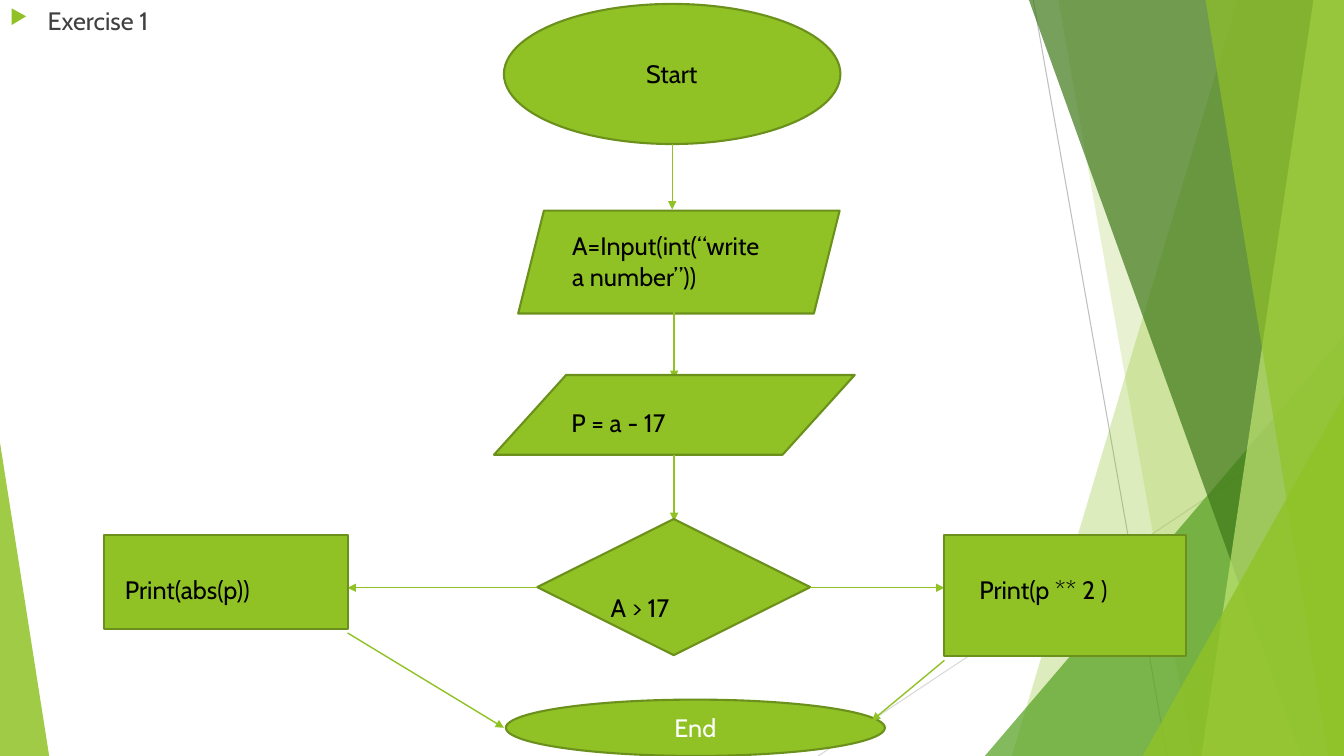
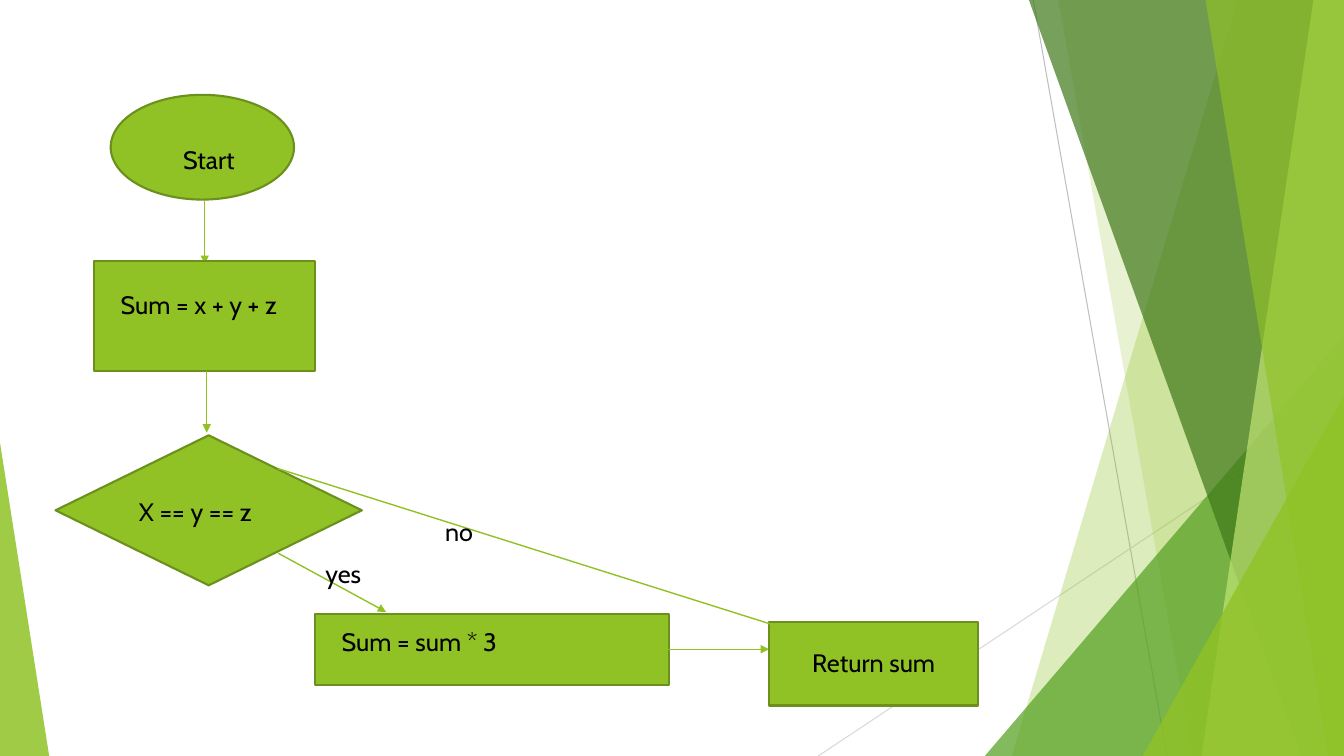
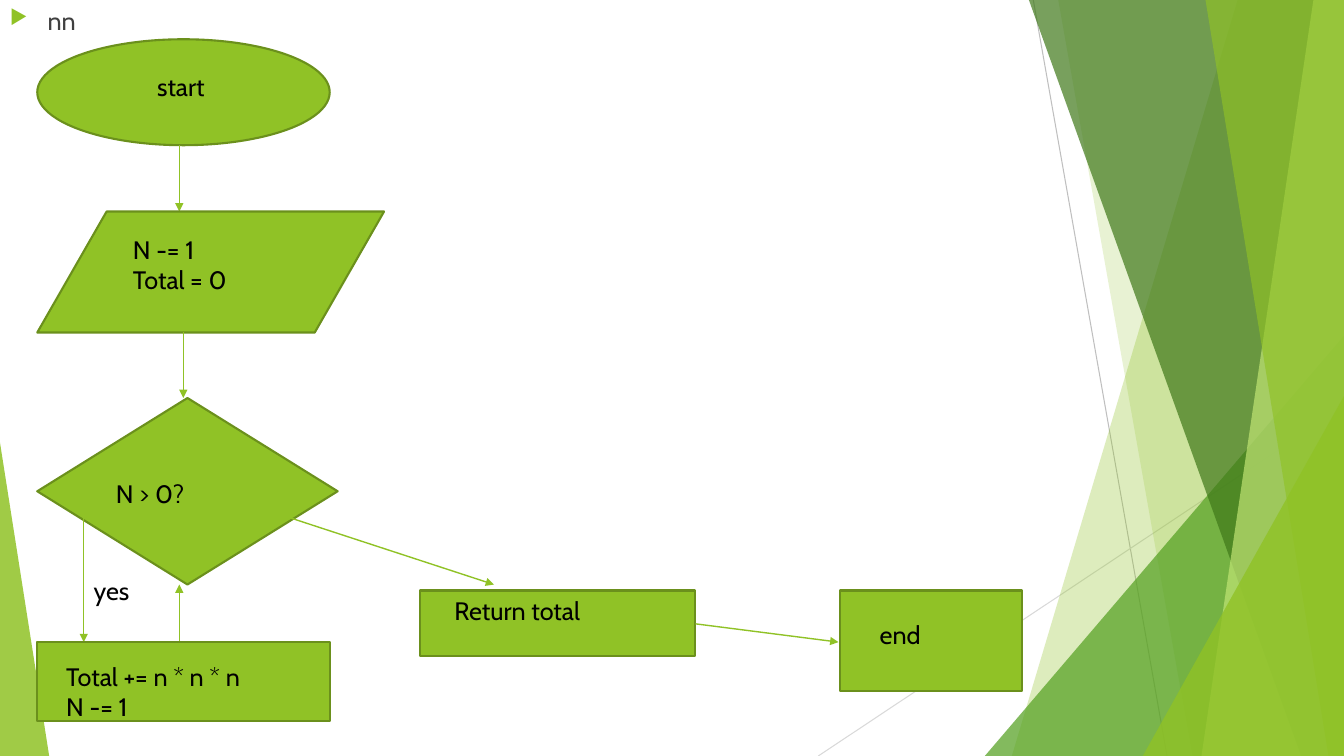
from lxml import etree
from pptx import Presentation
from pptx.dml.color import RGBColor
from pptx.enum.shapes import MSO_CONNECTOR, MSO_SHAPE
from pptx.enum.text import MSO_ANCHOR, MSO_AUTO_SIZE, PP_ALIGN
from pptx.oxml.ns import qn
from pptx.util import Cm, Pt

STRAIGHT = MSO_CONNECTOR.STRAIGHT
TRIANGLE = MSO_SHAPE.ISOSCELES_TRIANGLE
OVAL = MSO_SHAPE.OVAL
SLANTED = MSO_SHAPE.PARALLELOGRAM
DATA = MSO_SHAPE.FLOWCHART_DATA
DECISION = MSO_SHAPE.FLOWCHART_DECISION
RECT = MSO_SHAPE.RECTANGLE
LEFT, CENTER = PP_ALIGN.LEFT, PP_ALIGN.CENTER
MIDDLE, GROW = MSO_ANCHOR.MIDDLE, MSO_AUTO_SIZE.SHAPE_TO_FIT_TEXT

HEADING, LABEL, CENTRED, ARROW = "heading", "label", "centred", "arrow"
FONT = "Cabin"
GREEN, OUTLINE = "90C226", "6B901C"
BLACK, WHITE, GREY = "000000", "FFFFFF", "404040"
WIDTH, HEIGHT = 33.87, 19.05


def paint(fill, colour):
    fill.solid()
    fill.fore_color.rgb = RGBColor.from_string(colour)


def connect(page, ends, colour, weight):
    connector = page.shapes.add_connector(STRAIGHT, *[Cm(end) for end in ends])
    paint(connector.line.fill, colour)
    connector.line.width = Pt(weight)
    etree.SubElement(connector.element.spPr, qn("a:effectLst"))
    return connector


deck = Presentation()
deck.slide_width, deck.slide_height = Cm(WIDTH), Cm(HEIGHT)
layout = deck.slide_layouts[6]
for placeholder in list(layout.placeholders):
    layout.shapes.element.remove(placeholder.element)

backdrop_lines = [
    ((26.04, 0, 29.41, HEIGHT), "BFBFBF"),
    ((WIDTH, 10.24, 20.62, HEIGHT), "D9D9D9"),
]
# facets: top and bottom x; triangles: left, top, right, lean
backdrop_panes = [
    (GREEN, 30, (31.19, 25.5)),
    (GREEN, 20, (26.67, 30.05)),
    ("54A021", 72, (24.82, 8.46, WIDTH, 1)),
    ("3F7819", 70, (25.93, 32.79)),
    ("C0E474", 70, (33.1, 30.28)),
    (GREEN, 65, (30.38, 33.48)),
    (GREEN, 80, (28.8, 9.98, WIDTH, 1)),
    (GREEN, 85, (0, 11.15, 1.24, 0)),
]

exercise_flow = [
    (HEADING, 0, 0, WIDTH, HEIGHT, "Exercise 1"),
    (OVAL, 12.7, 0.1, 8.48, 3.53),
    (CENTRED, 13.82, 1.35, 6.22, 1.02, "Start"),
    (SLANTED, 13.06, 5.31, 8.1, 2.59),
    (LABEL, 14.17, 5.69, 5.64, 1.8, "A=Input(int(“write a number”))"),
    (ARROW, 16.94, 3.63, 16.94, 5.28),
    (ARROW, 16.99, 7.87, 16.99, 9.55),
    (DATA, 12.45, 9.45, 9.09, 2.01),
    (LABEL, 14.15, 10.13, 5.59, 1.02, "P = a - 17"),
    (ARROW, 16.99, 11.46, 16.99, 13.13),
    (DECISION, 13.54, 13.08, 6.88, 3.43),
    (LABEL, 15.14, 14.81, 4.04, 1.02, "A > 17"),
    (ARROW, 20.42, 14.81, 23.8, 14.81),
    (RECT, 23.8, 13.49, 6.1, 3.05),
    (LABEL, 24.43, 14.35, 5.44, 1.02, "Print(p ** 2 )"),
    (ARROW, 13.54, 14.81, 8.76, 14.81),
    (RECT, 2.62, 13.49, 6.15, 2.36),
    (LABEL, 2.9, 14.35, 5.46, 1.02, "Print(abs(p))"),
    (OVAL, 12.75, 17.63, 9.55, 1.42, "End"),
    (ARROW, 23.8, 16.64, 21.97, 18.16),
    (ARROW, 8.76, 15.95, 12.7, 18.34),
]
sum_flow = [
    (OVAL, 2.79, 2.39, 4.62, 2.64),
    (CENTRED, 3.51, 3.51, 3.51, 1.02, "Start"),
    (ARROW, 5.16, 5.05, 5.16, 6.65),
    (RECT, 2.36, 6.58, 5.59, 2.77),
    (LABEL, 2.79, 7.16, 4.62, 1.8, "Sum = x + y + z"),
    (ARROW, 5.21, 9.35, 5.21, 10.9),
    (DECISION, 1.4, 10.97, 7.72, 3.78),
    (LABEL, 3.25, 12.37, 4.14, 1.02, "X == y == z"),
    (ARROW, 7.01, 13.94, 9.73, 15.42),
    (RECT, 7.95, 15.47, 8.92, 1.8),
    (LABEL, 8.36, 15.67, 8.05, 1.02, "Sum = sum * 3"),
    (LABEL, 7.95, 13.94, 3.15, 1.02, "yes"),
    (ARROW, 16.84, 16.36, 19.38, 16.36),
    (RECT, 19.38, 15.67, 5.26, 2.11),
    (LABEL, 20.22, 16.18, 4.57, 1.02, "Return sum"),
    (ARROW, 7.01, 11.81, 21.18, 16.28),
    (LABEL, 10.97, 12.88, 3.94, 1.02, "no"),
]
total_flow = [
    (HEADING, 0, 0, 26.57, 18.52, "nn"),
    (OVAL, 0.94, 0.99, 7.37, 2.67),
    (CENTRED, 2.11, 1.68, 4.9, 1.02, "start"),
    (ARROW, 4.52, 3.66, 4.52, 5.33),
    (DATA, 0.94, 5.33, 8.74, 3.05),
    (LABEL, 3.1, 5.77, 5.21, 1.8, "N -= 1\nTotal = 0"),
    (ARROW, 4.62, 8.36, 4.62, 10.03),
    (DECISION, 0.94, 10.03, 7.57, 4.7),
    (LABEL, 2.67, 11.94, 4.34, 1.02, "N > 0?"),
    (ARROW, 2.11, 12.95, 2.11, 16.18),
    (ARROW, 4.52, 16.18, 4.52, 14.73),
    (RECT, 0.94, 16.18, 7.37, 1.98),
    (LABEL, 1.42, 16.54, 6.88, 1.8, "Total += n * n * n\nN -= 1"),
    (LABEL, 2.11, 14.38, 1.98, 1.02, "yes"),
    (ARROW, 7.01, 12.95, 12.45, 14.73),
    (RECT, 10.59, 14.88, 6.93, 1.65),
    (LABEL, 11.2, 14.88, 5.51, 1.02, "Return total"),
    (ARROW, 17.53, 15.72, 21.13, 16.18),
    (RECT, 21.18, 14.88, 4.57, 2.54),
    (LABEL, 21.92, 15.47, 3.81, 1.02, "end"),
]

pages = [deck.slides.add_slide(layout) for flow in range(3)]

for ends, colour in backdrop_lines:
    connect(pages[0], ends, colour, 0.75)
for colour, opacity, outline in backdrop_panes:
    if len(outline) == 2:
        top_x, bottom_x = outline
        builder = pages[0].shapes.build_freeform(Cm(top_x), Cm(0))
        corners = [(WIDTH, 0), (WIDTH, HEIGHT), (bottom_x, HEIGHT)]
        builder.add_line_segments([(Cm(x), Cm(y)) for x, y in corners])
        pane = builder.convert_to_shape()
    else:
        left, top, right, lean = outline
        pane = pages[0].shapes.add_shape(
            TRIANGLE, Cm(left), Cm(top), Cm(right - left), Cm(HEIGHT - top))
        pane.adjustments[0] = lean
    paint(pane.fill, colour)
    tint = pane.element.spPr.find(".//" + qn("a:srgbClr"))
    etree.SubElement(tint, qn("a:alpha"), val=str(opacity * 1000))
    pane.line.fill.background()
    pane.shadow.inherit = False
for shape in list(pages[0].shapes):
    layout.shapes.element.append(shape.element)

for page, flow in zip(pages, [exercise_flow, sum_flow, total_flow]):
    for kind, *place in flow:
        if kind == ARROW:
            arrow = connect(page, place, GREEN, 1)
            stroke = arrow.element.spPr.find(qn("a:ln"))
            etree.SubElement(stroke, qn("a:tailEnd"), type="triangle")
            continue
        frame = [Cm(length) for length in place[:4]]
        if kind in (HEADING, LABEL, CENTRED):
            box = page.shapes.add_textbox(*frame)
            colour = GREY if kind == HEADING else BLACK
            align = CENTER if kind == CENTRED else LEFT
            if kind != HEADING:
                box.text_frame.auto_size = GROW
        else:
            box = page.shapes.add_shape(kind, *frame)
            paint(box.fill, GREEN)
            paint(box.line.fill, OUTLINE)
            box.line.width = Pt(1.5)
            box.shadow.inherit = False
            box.text_frame.vertical_anchor = MIDDLE
            colour, align = WHITE, CENTER
        box.text_frame.word_wrap = True
        for text in place[4:]:
            for number, line in enumerate(text.split("\n")):
                para = box.text_frame.add_paragraph() if number else box.text_frame.paragraphs[0]
                para.alignment = align
                span = para.add_run()
                span.text = line
                span.font.name, span.font.size = FONT, Pt(18)
                paint(span.font.fill, colour)
        if kind == HEADING:
            bullet = box.element.txBody.p_lst[0].get_or_add_pPr()
            bullet.set("marL", str(Cm(0.95)))
            bullet.set("indent", str(-Cm(0.95)))
            bullet_colour = etree.SubElement(bullet, qn("a:buClr"))
            etree.SubElement(bullet_colour, qn("a:srgbClr"), val=GREEN)
            etree.SubElement(bullet, qn("a:buSzPct"), val="80000")
            etree.SubElement(bullet, qn("a:buChar"), char="▶")

deck.save("out.pptx")
